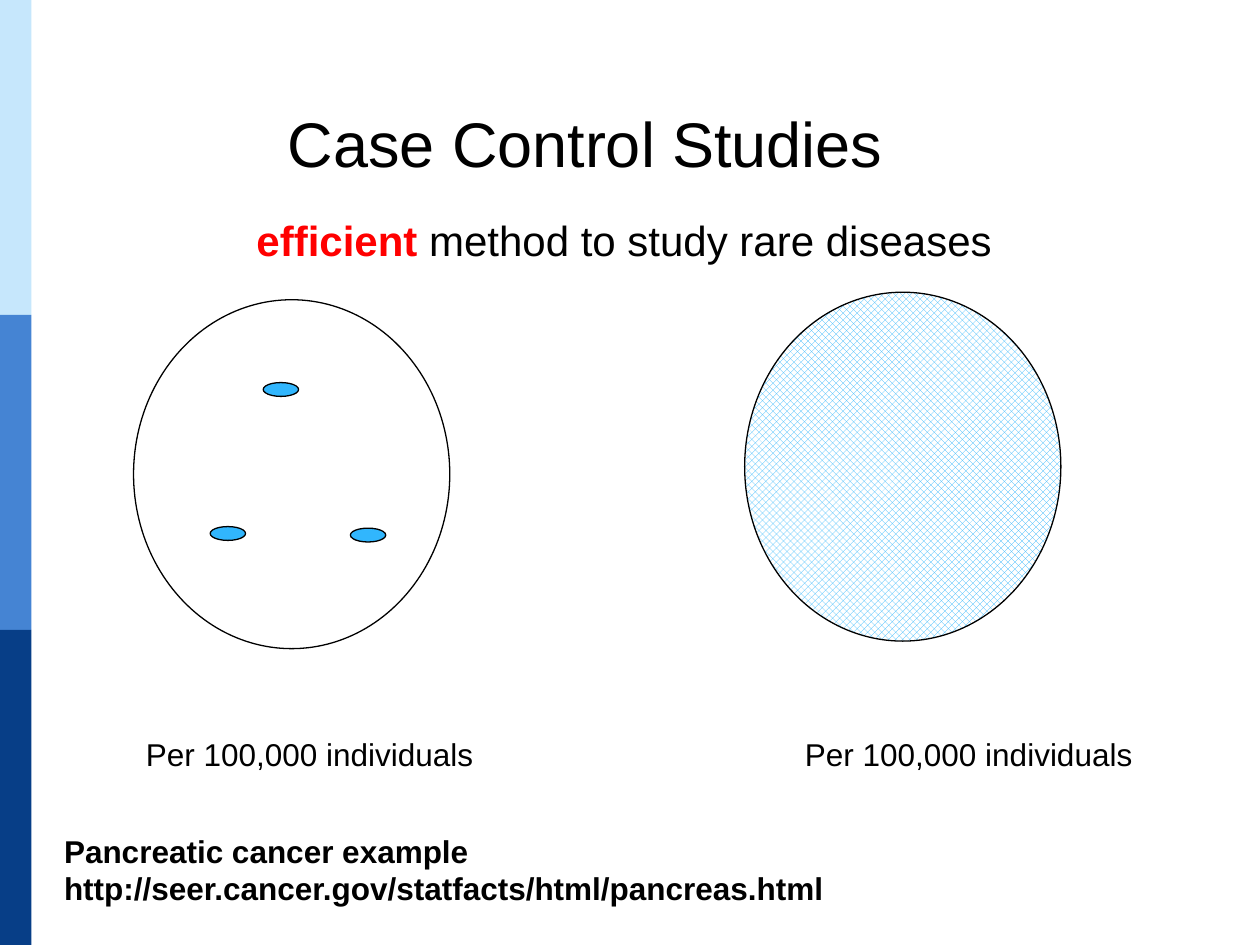
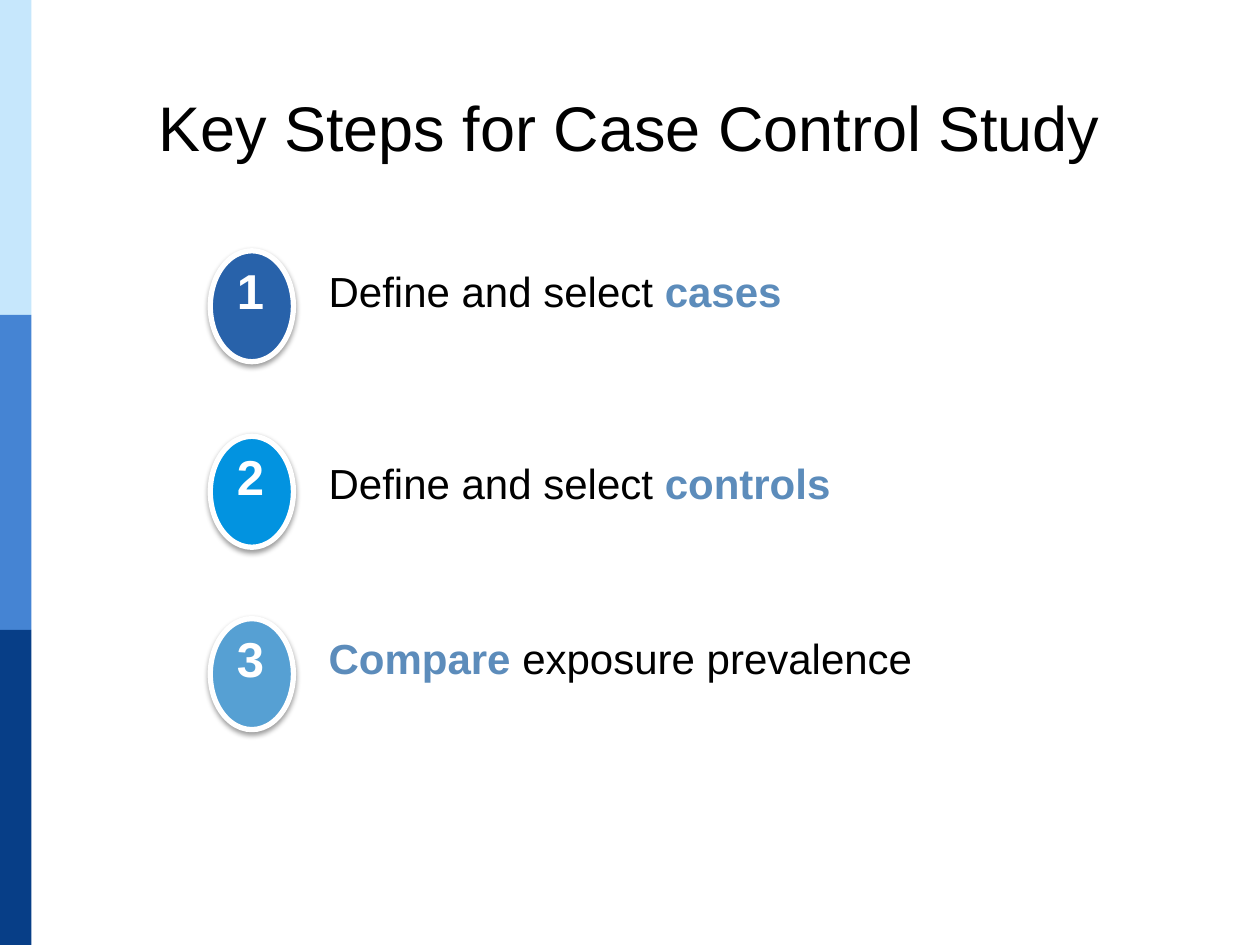
from lxml import etree
from pptx import Presentation
from pptx.dml.color import RGBColor
from pptx.enum.dml import MSO_PATTERN
from pptx.enum.shapes import MSO_SHAPE
from pptx.enum.text import MSO_AUTO_SIZE, PP_ALIGN
from pptx.oxml.ns import qn
from pptx.util import Pt

ELLIPSE = MSO_SHAPE.OVAL
RECTANGLE = MSO_SHAPE.RECTANGLE
LATTICE = MSO_PATTERN.SOLID_DIAMOND
FIT = MSO_AUTO_SIZE.SHAPE_TO_FIT_TEXT
LEFT = PP_ALIGN.LEFT
CENTER = PP_ALIGN.CENTER

BLACK = "000000"
WHITE = "FFFFFF"
RED = "FF0000"
SKY = "31B6FD"
STEEL = "5C8CBB"
BANDS = ["C6E7FC", "4584D3", "073E87"]
WIDTH, HEIGHT = 720, 540


def rgb(value):
    return RGBColor.from_string(value)


class Deck:
    font = "Arial"

    def __init__(self):
        self.prs = Presentation()
        self.prs.slide_width = Pt(WIDTH)
        self.prs.slide_height = Pt(HEIGHT)
        self.slide = None

    def new_slide(self, title, left, top):
        self.slide = self.prs.slides.add_slide(self.prs.slide_layouts[6])
        band_height = HEIGHT / len(BANDS)
        for index, color in enumerate(BANDS):
            self.shape(RECTANGLE, 0, index * band_height, 18, band_height, color)
        self.text(left, top, 651.6, 51, [[(title, BLACK, False)]], 36, CENTER)

    def shape(self, kind, left, top, width, height, fill=None, line=None, weight=0.75):
        shape = self.slide.shapes.add_shape(kind, Pt(left), Pt(top), Pt(width), Pt(height))
        shape.shadow.inherit = False
        if fill:
            shape.fill.solid()
            shape.fill.fore_color.rgb = rgb(fill)
        else:
            shape.fill.background()
        if line:
            shape.line.color.rgb = rgb(line)
            shape.line.width = Pt(weight)
        else:
            shape.line.fill.background()
        return shape

    def hatch(self, shape, color):
        shape.fill.patterned()
        shape.fill.pattern = LATTICE
        shape.fill.fore_color.rgb = rgb(color)
        shape.fill.back_color.rgb = rgb(WHITE)

    def drop_shadow(self, shape):
        effects = shape.element.spPr.find(qn("a:effectLst"))
        shadow = etree.SubElement(
            effects, qn("a:outerShdw"), blurRad=str(Pt(3.1)), dist=str(Pt(1.6)),
            dir="5400000", algn="ctr", rotWithShape="0")
        color = etree.SubElement(shadow, qn("a:srgbClr"), val=BLACK)
        etree.SubElement(color, qn("a:alpha"), val="38000")

    def text(self, left, top, width, height, paragraphs, size, align=LEFT, wrap=True):
        box = self.slide.shapes.add_textbox(Pt(left), Pt(top), Pt(width), Pt(height))
        frame = box.text_frame
        frame.word_wrap = wrap
        frame.auto_size = FIT
        for index, runs in enumerate(paragraphs):
            paragraph = frame.add_paragraph() if index else frame.paragraphs[0]
            paragraph.alignment = align
            paragraph.font.name = self.font
            paragraph.font.size = Pt(size)
            for content, color, bold in runs:
                run = paragraph.add_run()
                run.text = content
                font = paragraph.font if len(runs) == 1 else run.font
                font.color.rgb = rgb(color)
                font.bold = bold
        return box

    def tab_stop(self, box, position):
        for paragraph in box.text_frame.paragraphs:
            tabs = etree.Element(qn("a:tabLst"))
            etree.SubElement(tabs, qn("a:tab"), pos=str(Pt(position)), algn="l")
            paragraph.font
            properties = paragraph._p.get_or_add_pPr()
            properties.find(qn("a:defRPr")).addprevious(tabs)

    def step(self, number, color, badge_top, text_top, width, runs):
        badge = self.shape(ELLIPSE, 120.2, badge_top, 47.5, 63.4, color, WHITE, 3)
        self.drop_shadow(badge)
        self.text(128.2, badge_top + 2.2, 30.2, 41,
                  [[(str(number), WHITE, True)]], 28, wrap=False)
        self.text(180.7, text_top, width, 36, [runs], 24)


def rare_diseases(deck):
    deck.new_slide("Case Control Studies", 8.6, 56.2)
    deck.text(0, 118.8, WIDTH, 36,
              [[("efficient", RED, True),
                (" method to study rare diseases ", BLACK, False)]], 24, CENTER)
    deck.shape(ELLIPSE, 76.3, 171.3, 180.7, 199.4, line=BLACK)
    controls = deck.shape(ELLIPSE, 425.5, 167, 180.7, 199.4, line=BLACK)
    deck.hatch(controls, SKY)
    for left, top in [(120.1, 300.9), (150.4, 218.6), (200.2, 301.8)]:
        deck.shape(ELLIPSE, left, top, 20.2, 7.9, SKY, BLACK)
    rates = deck.text(
        76.3, 416.2, 584, 29,
        [[("Per 100,000 individuals\tPer 100,000 individuals", BLACK, False)]], 18)
    deck.tab_stop(rates, 376.6)
    deck.text(29.5, 471.6, 680.4, 72.7,
              [[("Pancreatic cancer example", BLACK, True)],
               [("http://seer.cancer.gov/statfacts/html/pancreas.html", BLACK, True)]], 18)


def key_steps(deck):
    deck.new_slide("Key Steps for Case Control Study", 33.8, 46.8)
    select = ("Define and select ", BLACK, False)
    steps = [
        ("2862AA", 143.3, 148.3, 280, [select, ("cases", STEEL, True)]),
        ("0293E0", 249.3, 257.8, 308, [select, ("controls", STEEL, True)]),
        ("56A0D3", 353.5, 357.8, 355,
         [("Compare ", STEEL, True), ("exposure prevalence", BLACK, False)]),
    ]
    for number, step in enumerate(steps, 1):
        deck.step(number, *step)


def main():
    deck = Deck()
    rare_diseases(deck)
    key_steps(deck)
    deck.prs.save("out.pptx")


if __name__ == "__main__":
    main()
